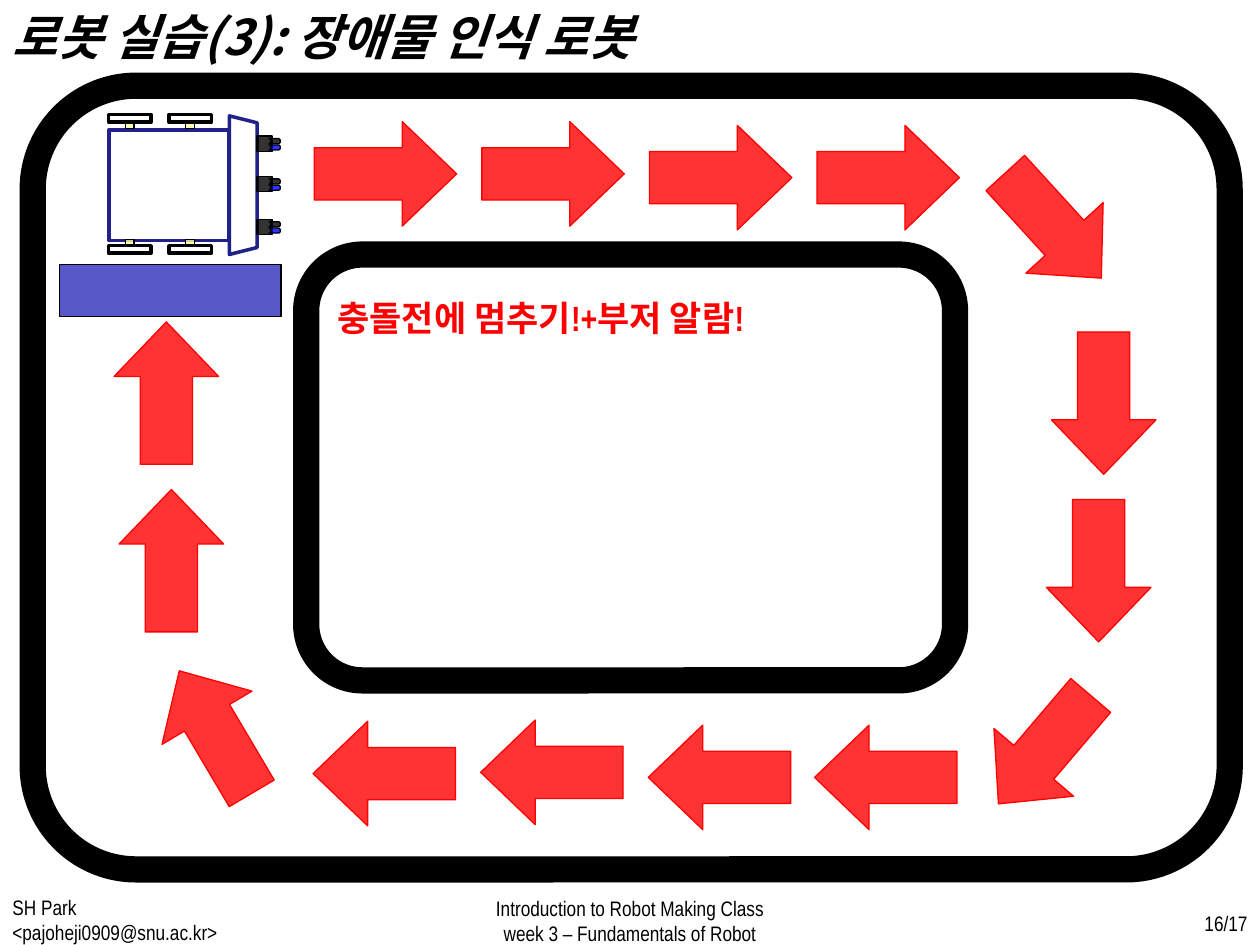
from lxml import etree
from pptx import Presentation
from pptx.dml.color import RGBColor
from pptx.enum.shapes import MSO_SHAPE as Shape
from pptx.enum.text import MSO_ANCHOR as Anchor, PP_ALIGN as Align
from pptx.oxml.ns import qn
from pptx.util import Inches, Pt

LATIN_FONT = "Arial Narrow"
KOREAN_FONT = "Noto Sans CJK KR"
ARROW_SIZE = (0.83, 1.13)

# Rotation of a down arrow and the centres of the arrows that share it
ARROW_RUNS = [
    (270, [(3.06, 1.38), (4.39, 1.38), (5.72, 1.41), (7.05, 1.41)]),
    (0, [(8.76, 3.2), (8.72, 4.53)]),
    (317.6, [(8.36, 1.79)]),
    (40.4, [(8.29, 5.95)]),
    (90, [(7.03, 6.17), (5.71, 6.17), (4.38, 6.13), (3.05, 6.14)]),
    (180, [(1.36, 4.45), (1.32, 3.12)]),
    (149.4, [(1.71, 5.81)]),
]


def color(hex_string):
    return RGBColor.from_string(hex_string)


def add_outlined(shapes, kind, box, fill, line, line_width=0.75, opacity=100):
    shape = shapes.add_shape(kind, *(Inches(length) for length in box))
    shape.shadow.inherit = False
    if fill is None:
        shape.fill.background()
    else:
        shape.fill.solid()
        shape.fill.fore_color.rgb = color(fill)
        if opacity < 100:
            rgb = shape.fill._xPr.find(qn("a:solidFill"))[0]
            etree.SubElement(rgb, qn("a:alpha")).set("val", str(opacity * 1000))
    shape.line.color.rgb = color(line)
    shape.line.width = Pt(line_width)
    return shape


def add_centered(shapes, kind, center, size, fill, line, line_width=0.75,
                 opacity=100, rotation=0):
    (x, y), (width, height) = center, size
    box = (x - width / 2, y - height / 2, width, height)
    shape = add_outlined(shapes, kind, box, fill, line, line_width, opacity)
    shape.rotation = rotation
    return shape


def add_text(slide, box, lines, size, font=LATIN_FONT, text_color="000000",
             bold=False, italic=False, align=Align.LEFT, anchor=Anchor.TOP):
    text_box = slide.shapes.add_textbox(*(Inches(length) for length in box))
    frame = text_box.text_frame
    frame.word_wrap = True
    frame.vertical_anchor = anchor
    for index, line in enumerate(lines):
        paragraph = frame.add_paragraph() if index else frame.paragraphs[0]
        paragraph.alignment = align
        run = paragraph.add_run()
        run.text = line
        run.font.size = Pt(size)
        run.font.name = font
        run.font.bold = bold
        run.font.italic = italic
        run.font.color.rgb = color(text_color)
        east_asian = etree.Element(qn("a:ea"), typeface=KOREAN_FONT)
        run.font._element.find(qn("a:latin")).addnext(east_asian)


def add_footer(slide, top):
    add_text(slide, (9.33, top + 0.13, 0.67, 0.32), ["16/17"], 12, align=Align.RIGHT)
    add_text(slide, (0, top + 0.01, 10, 0.44),
             ["Introduction to Robot Making Class", "week 3 – Fundamentals of Robot"],
             12, align=Align.CENTER)
    add_text(slide, (0, top, 1.91, 0.45), ["SH Park <pajoheji0909@snu.ac.kr>"], 12)


def add_robot(slide, left, top):
    """Draw the robot car, seen from above and facing right."""
    parts = slide.shapes.add_group_shape().shapes

    def add_part(kind, x, y, size, *style, **options):
        add_centered(parts, kind, (left + x, top + y), size, *style, **options)

    add_part(Shape.TRAPEZOID, 1.07, 0.58, (1.1, 0.22), "FFFFFF", "212189", 2, rotation=90)
    add_part(Shape.RECTANGLE, 0.48, 0.58, (0.95, 0.88), "FFFFFF", "212189", 2)
    for y in (0.91, 0.57, 0.25):
        add_part(Shape.RECTANGLE, 1.24, y, (0.12, 0.12), "000000", "000000", opacity=80)
        for offset, fill in ((0.03, "0000FF"), (-0.02, "000000")):
            add_part(Shape.FLOWCHART_STORED_DATA, 1.32, y + offset, (0.09, 0.04),
                     fill, "000000", opacity=80, rotation=180)
    for axle_y, wheel_y in ((1.04, 1.09), (0.1, 0.05)):
        for x in (0.65, 0.17):
            add_part(Shape.RECTANGLE, x, axle_y, (0.07, 0.06), "FFFF99", "000000", opacity=80)
            add_part(Shape.RECTANGLE, x, wheel_y, (0.34, 0.06), "FFFFFF", "000000", 2)


def add_track(slide, outer_box, inner_box):
    for box in (outer_box, inner_box):
        border = add_outlined(slide.shapes, Shape.ROUNDED_RECTANGLE, box, None, "000000", 15)
        border.adjustments[0] = 0.132


def add_arrow_run(slide, rotation, centers):
    shapes = slide.shapes
    if len(centers) > 1:
        shapes = shapes.add_group_shape().shapes
    for center in centers:
        arrow = add_centered(shapes, Shape.DOWN_ARROW, center, ARROW_SIZE,
                             "FF0000", "FF0000", opacity=80, rotation=rotation)
        arrow.adjustments[0] = 0.5
        arrow.adjustments[1] = 0.521


def main():
    presentation = Presentation()
    presentation.slide_width = Inches(10)
    presentation.slide_height = Inches(7.5)
    slide = presentation.slides.add_slide(presentation.slide_layouts[6])

    add_text(slide, (0, 0, 10, 0.57), ["로봇 실습(3): 장애물 인식 로봇"], 28,
             font=KOREAN_FONT, bold=True, italic=True, anchor=Anchor.MIDDLE)
    add_footer(slide, 7.05)
    add_robot(slide, 0.86, 0.89)
    add_text(slide, (2.58, 2.3, 4.2, 0.44), ["충돌전에 멈추기!+부저 알람!"], 20,
             text_color="FF0000", bold=True, anchor=Anchor.MIDDLE)
    add_track(slide, (0.26, 0.68, 9.5, 6.22), (2.43, 2.02, 5.15, 3.38))
    for rotation, centers in ARROW_RUNS:
        add_arrow_run(slide, rotation, centers)
    add_outlined(slide.shapes, Shape.RECTANGLE, (0.47, 2.1, 1.76, 0.41),
                 "2D2DB9", "000000", opacity=80)
    presentation.save("out.pptx")


if __name__ == "__main__":
    main()
